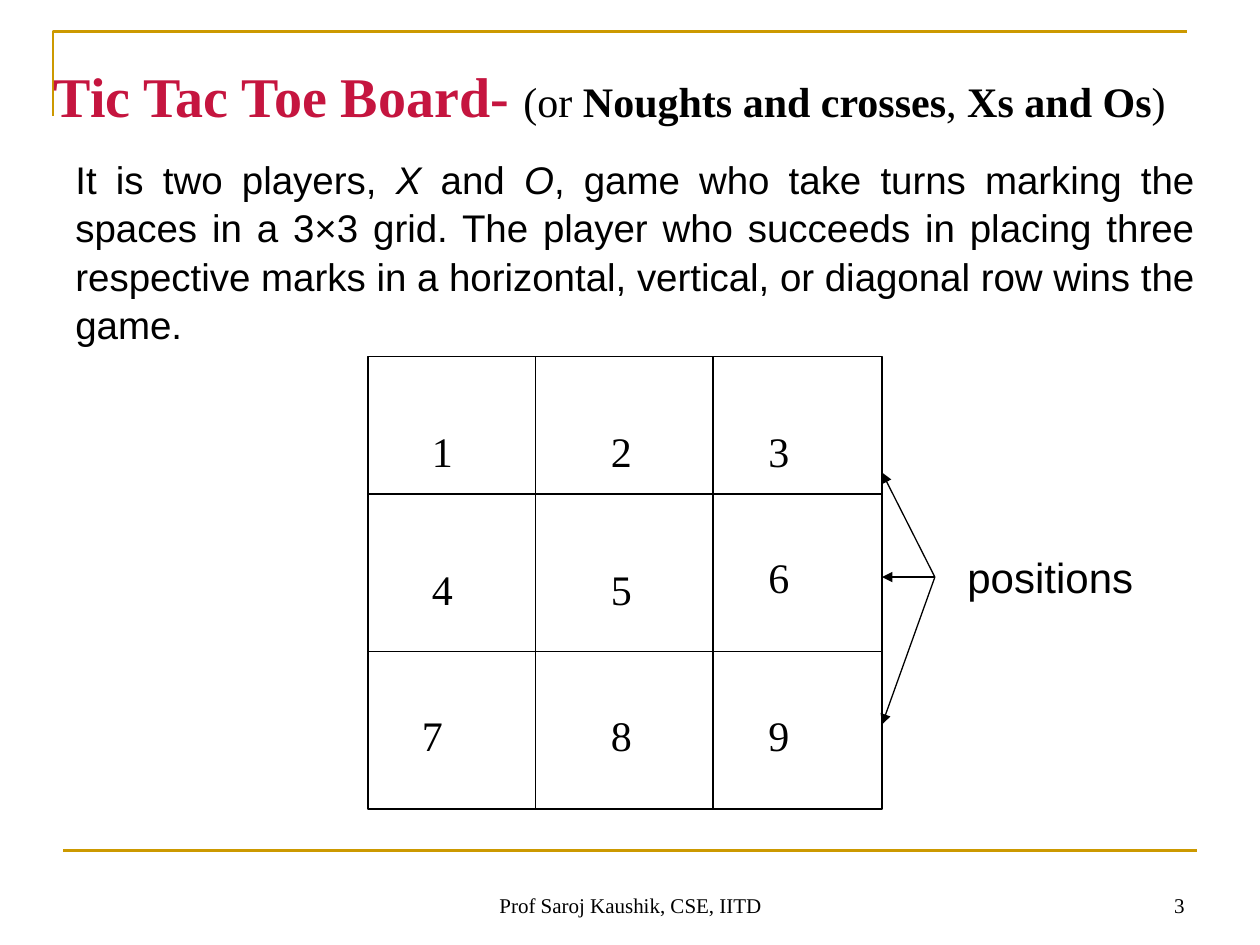
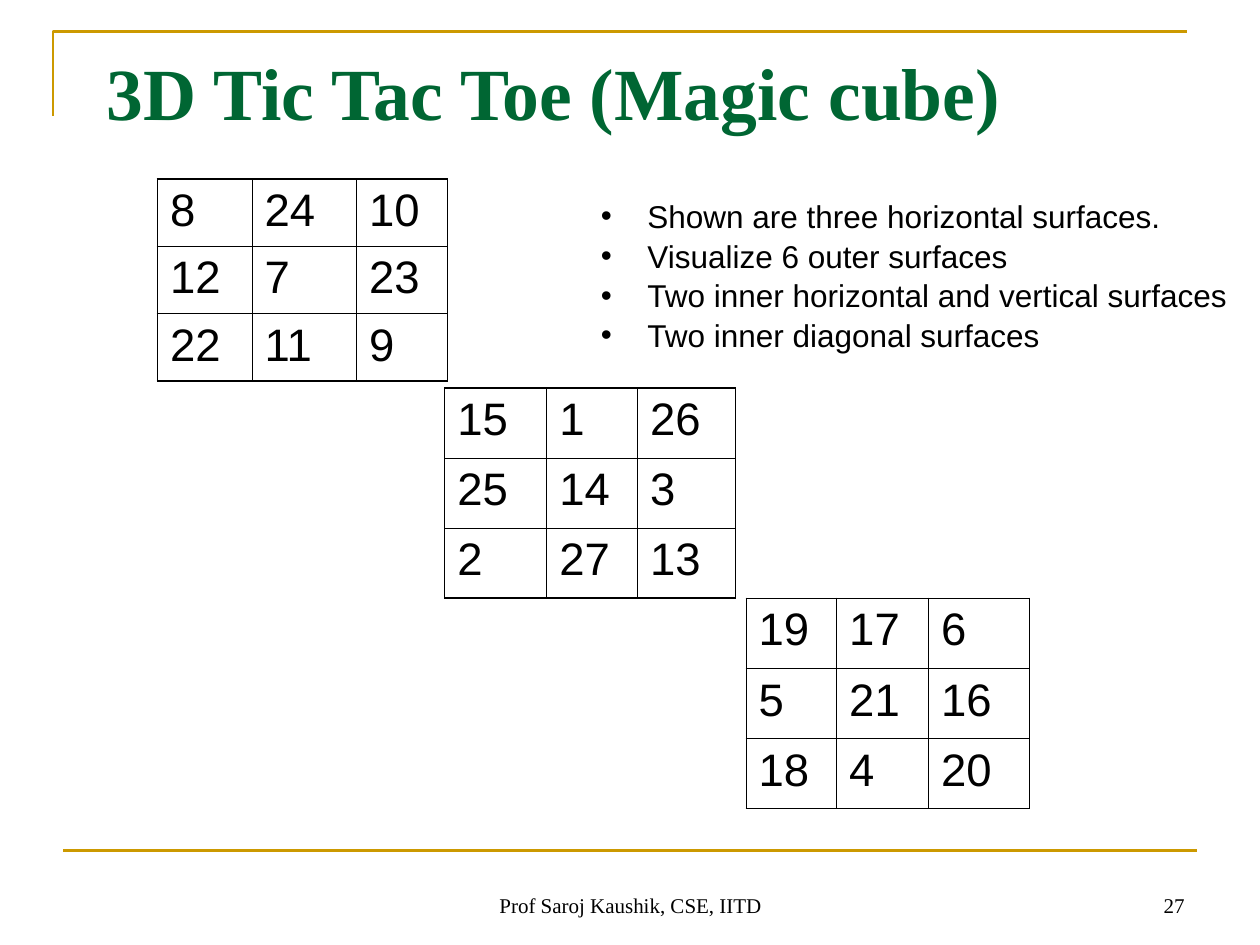
from dataclasses import dataclass
from itertools import product

from lxml import etree
from pptx import Presentation
from pptx.dml.color import RGBColor
from pptx.enum.shapes import MSO_CONNECTOR, MSO_SHAPE
from pptx.enum.text import MSO_ANCHOR, PP_ALIGN
from pptx.oxml.ns import qn
from pptx.util import Inches, Pt

STRAIGHT = MSO_CONNECTOR.STRAIGHT
RECTANGLE = MSO_SHAPE.RECTANGLE
TOP, BOTTOM = MSO_ANCHOR.TOP, MSO_ANCHOR.BOTTOM
LEFT, CENTER, RIGHT, JUSTIFY = PP_ALIGN.LEFT, PP_ALIGN.CENTER, PP_ALIGN.RIGHT, PP_ALIGN.JUSTIFY

BLACK, GOLD, CRIMSON, GREEN = "000000", "CC9900", "C5153F", "006633"
SERIF, SANS = "Times New Roman", "Arial"
FOOTER_TEXT = "Prof Saroj Kaushik, CSE, IITD"
FOOTER = {"name": SERIF, "size": Pt(12)}
DIGIT = {"name": SERIF, "size": Pt(24)}
LABEL = {"name": SANS, "size": Pt(24)}
BODY = {"name": SANS, "size": Pt(22)}
BULLET = {"name": SANS, "size": Pt(18)}
CELL = {"name": SANS, "size": Pt(26)}
BULLET_INDENT = Inches(0.37)
THIN, HEAVY = Pt(0.45), Pt(1.08)


@dataclass
class Run:
    """A stretch of text with its font values and colour."""
    text: str
    font: dict
    color: str = BLACK


@dataclass
class TextBox:
    """A text box given in inches, with one list of runs per paragraph."""
    left: float
    top: float
    width: float
    height: float
    paragraphs: list[list[Run]]
    align: PP_ALIGN = LEFT
    anchor: MSO_ANCHOR = TOP
    line_spacing: float = 1.0
    top_margin: float = 0.05
    bullet: bool = False


@dataclass
class Surface:
    """One layer of the cube, with the sides that carry a heavy border."""
    left: float
    top: float
    columns: list[float]
    row_height: float
    values: list[list[int]]
    heavy_sides: str


BOARD_X = [2.92, 4.25, 5.66, 7.0]
BOARD_Y = [2.83, 3.92, 5.17, 6.42]
DIGIT_X = [3.33, 4.75, 6.0]
DIGIT_Y = [3.33, 4.42, 5.58]
DIGIT_NUDGES = {6: (0, -0.09), 7: (-0.08, 0)}
ARROW_START = (7.42, 4.58)
ARROW_TIPS_Y = [3.75, 4.58, 5.75]

SURFACES = [
    Surface(1.25, 1.42, [0.75, 0.83, 0.72], 0.535,
            [[8, 24, 10], [12, 7, 23], [22, 11, 9]], "LTB"),
    Surface(3.53, 3.08, [0.81, 0.72, 0.78], 0.556,
            [[15, 1, 26], [25, 14, 3], [2, 27, 13]], "TB"),
    Surface(5.92, 4.75, [0.72, 0.73, 0.8], 0.556,
            [[19, 17, 6], [5, 21, 16], [18, 4, 20]], "TRB"),
]
CUBE_NOTES = [
    "Shown are three horizontal surfaces.",
    "Visualize 6 outer surfaces",
    "Two inner horizontal and vertical surfaces",
    "Two inner diagonal surfaces",
]


def rgb(color: str) -> RGBColor:
    """Turn a hex string into a colour."""
    return RGBColor.from_string(color)


def add_run(paragraph, run: Run) -> None:
    """Append a formatted run to a paragraph."""
    text_run = paragraph.add_run()
    text_run.text = run.text
    for name, value in run.font.items():
        setattr(text_run.font, name, value)
    text_run.font.color.rgb = rgb(run.color)


def add_bullet(paragraph) -> None:
    """Give a paragraph a round bullet and a hanging indent."""
    properties = paragraph._p.get_or_add_pPr()
    properties.set("marL", str(BULLET_INDENT))
    properties.set("indent", str(-BULLET_INDENT))
    etree.SubElement(properties, qn("a:buFont"), typeface=SANS)
    etree.SubElement(properties, qn("a:buChar"), char="•")


def add_text(slide, box: TextBox) -> None:
    """Draw a text box."""
    shape = slide.shapes.add_textbox(
        Inches(box.left), Inches(box.top), Inches(box.width), Inches(box.height))
    frame = shape.text_frame
    settings = {"word_wrap": True, "vertical_anchor": box.anchor,
                "margin_top": Inches(box.top_margin)}
    for name, value in settings.items():
        setattr(frame, name, value)
    for index, runs in enumerate(box.paragraphs):
        paragraph = frame.add_paragraph() if index else frame.paragraphs[0]
        paragraph.alignment = box.align
        paragraph.line_spacing = box.line_spacing
        if box.bullet:
            add_bullet(paragraph)
        for run in runs:
            add_run(paragraph, run)


def set_line(shape, color: str, width: float) -> None:
    """Set the colour and width of an outline."""
    shape.line.color.rgb = rgb(color)
    shape.line.width = Pt(width)


def add_line(slide, start: tuple[float, float], end: tuple[float, float],
             color: str = BLACK, width: float = 0.75, arrow: bool = False) -> None:
    """Draw a straight line, with an arrowhead at its end if asked."""
    connector = slide.shapes.add_connector(
        STRAIGHT, *(Inches(value) for value in (*start, *end)))
    set_line(connector, color, width)
    properties = connector.element.spPr
    if arrow:
        etree.SubElement(properties.find(qn("a:ln")), qn("a:tailEnd"), type="triangle")
    etree.SubElement(properties, qn("a:effectLst"))


def add_outline(shape, color: str, width: float) -> None:
    """Leave a shape unfilled, with a plain outline."""
    shape.fill.background()
    set_line(shape, color, width)
    shape.shadow.inherit = False


def add_frame(slide, number: int) -> None:
    """Draw the corner rule, bottom rule, footer and slide number."""
    builder = slide.shapes.build_freeform(Inches(0.42), Inches(0.92))
    corner = [(Inches(0.42), Inches(0.25)), (Inches(9.42), Inches(0.25))]
    builder.add_line_segments(corner, close=False)
    add_outline(builder.convert_to_shape(), GOLD, 1.5)
    add_line(slide, (0.5, 6.75), (9.5, 6.75), GOLD, 1.5)
    add_text(slide, TextBox(3.42, 6.83, 3.17, 0.5, [[Run(FOOTER_TEXT, FOOTER)]], CENTER, BOTTOM))
    add_text(slide, TextBox(7.17, 6.83, 2.33, 0.5, [[Run(str(number), FOOTER)]], RIGHT, BOTTOM))


def add_slide(presentation, number: int):
    """Add a blank slide with the shared frame."""
    slide = presentation.slides.add_slide(presentation.slide_layouts[6])
    add_frame(slide, number)
    return slide


def add_borders(cell, edges: set[str]) -> None:
    """Draw black borders around a cell, heavy on the given edges."""
    properties = cell._tc.get_or_add_tcPr()
    for side in "LRTB":
        width = HEAVY if side in edges else THIN
        line = etree.SubElement(properties, qn(f"a:ln{side}"), w=str(width))
        fill = etree.SubElement(line, qn("a:solidFill"))
        etree.SubElement(fill, qn("a:srgbClr"), val=BLACK)


def add_surface(slide, surface: Surface) -> None:
    """Draw one layer of the cube as a table."""
    row_count, column_count = len(surface.values), len(surface.columns)
    table = slide.shapes.add_table(
        row_count, column_count, Inches(surface.left), Inches(surface.top),
        Inches(sum(surface.columns)), Inches(surface.row_height * row_count)).table
    table.first_row = table.horz_banding = False
    for column, width in zip(table.columns, surface.columns):
        column.width = Inches(width)
    for row, column in product(range(row_count), range(column_count)):
        cell = table.cell(row, column)
        on_edge = {"L": column == 0, "R": column == column_count - 1,
                   "T": row == 0, "B": row == row_count - 1}
        add_borders(cell, {side for side in surface.heavy_sides if on_edge[side]})
        cell.fill.background()
        add_run(cell.text_frame.paragraphs[0], Run(str(surface.values[row][column]), CELL))


def add_board(slide) -> None:
    """Draw the three by three board with its numbered positions."""
    left, *inner_x, right = BOARD_X
    top, *inner_y, bottom = BOARD_Y
    board = slide.shapes.add_shape(
        RECTANGLE, Inches(left), Inches(top), Inches(right - left), Inches(bottom - top))
    add_outline(board, BLACK, 0.75)
    for x in inner_x:
        add_line(slide, (x, top), (x, bottom))
    for y in inner_y:
        add_line(slide, (left, y), (right, y))
    for position, (y, x) in enumerate(product(DIGIT_Y, DIGIT_X), start=1):
        shift_x, shift_y = DIGIT_NUDGES.get(position, (0, 0))
        add_text(slide, TextBox(x + shift_x, y + shift_y, 0.5, 0.5, [[Run(str(position), DIGIT)]]))
    for y in ARROW_TIPS_Y:
        add_line(slide, ARROW_START, (right, y), arrow=True)
    add_text(slide, TextBox(7.58, 4.33, 1.83, 0.5, [[Run("positions", LABEL)]]))


def build_board_slide(presentation) -> None:
    """Build the slide that explains the board."""
    slide = add_slide(presentation, 3)
    bold_digit = DIGIT | {"bold": True}
    title = [
        Run("Tic Tac Toe Board- ", {"name": SERIF, "size": Pt(32), "bold": True}, CRIMSON),
        Run("(or ", DIGIT), Run("Noughts and crosses", bold_digit),
        Run(", ", DIGIT), Run("Xs and Os", bold_digit), Run(")", DIGIT),
    ]
    add_text(slide, TextBox(0.33, 0.3, 9.42, 0.61, [title], top_margin=0.19))
    add_board(slide)
    italic = BODY | {"italic": True}
    rules = [
        Run("It is two players, ", BODY), Run("X", italic), Run(" and ", BODY), Run("O", italic),
        Run(", game who take turns marking the spaces in a 3×3 grid. The player who succeeds in "
            "placing three respective marks in a horizontal, vertical, or diagonal row wins the "
            "game.", BODY),
    ]
    add_text(slide, TextBox(0.5, 1.17, 9.08, 1.6, [rules], JUSTIFY, line_spacing=1.05))


def build_cube_slide(presentation) -> None:
    """Build the slide that shows the layers of the magic cube."""
    slide = add_slide(presentation, 27)
    title = Run("3D Tic Tac Toe (Magic cube)", {"name": SERIF, "size": Pt(42), "bold": True}, GREEN)
    add_text(slide, TextBox(0.75, 0.25, 8.5, 1.08, [[title]], top_margin=0.12))
    for surface in SURFACES:
        add_surface(slide, surface)
    notes = [[Run(note, BULLET)] for note in CUBE_NOTES]
    add_text(slide, TextBox(4.67, 1.5, 5.25, 1.6, notes, line_spacing=1.05, bullet=True))


def main() -> None:
    """Build and save the presentation."""
    presentation = Presentation()
    presentation.slide_width = Inches(10)
    presentation.slide_height = Inches(7.5)
    build_board_slide(presentation)
    build_cube_slide(presentation)
    presentation.save("out.pptx")


if __name__ == "__main__":
    main()
